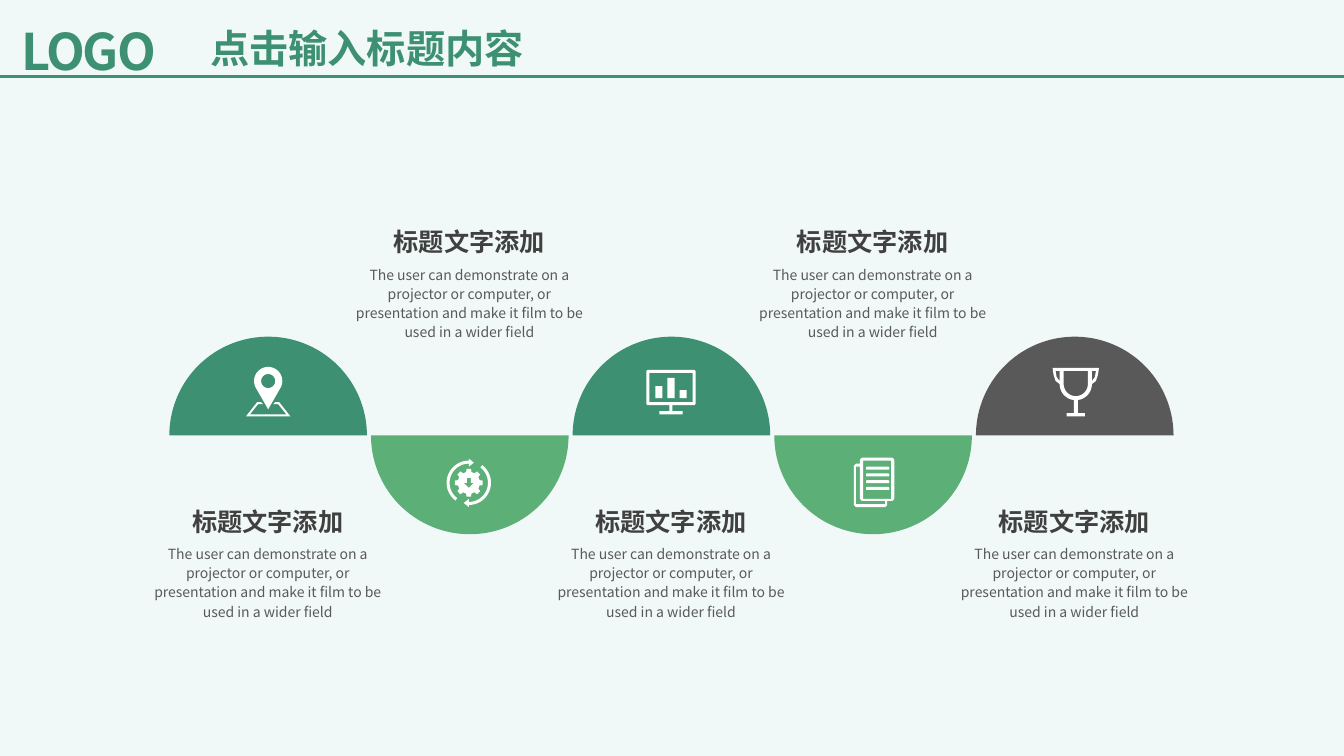
from math import cos, radians, sin

from lxml.etree import SubElement
from pptx import Presentation
from pptx.dml.color import RGBColor
from pptx.enum.shapes import MSO_CONNECTOR, MSO_SHAPE
from pptx.enum.text import MSO_AUTO_SIZE, PP_ALIGN
from pptx.oxml.ns import qn
from pptx.util import Inches, Pt

GREEN = RGBColor(0x3D, 0x90, 0x72)
LIGHT_GREEN = RGBColor(0x5C, 0xAF, 0x77)
GRAY = RGBColor(0x59, 0x59, 0x59)
DARK_GRAY = RGBColor(0x40, 0x40, 0x40)
MINT = RGBColor(0xB4, 0xE2, 0xD7)
WHITE = RGBColor(0xFF, 0xFF, 0xFF)

FONT = "Noto Sans CJK SC"
HEADING = "标题文字添加"
BODY = (
    "The user can demonstrate on a projector or computer, or presentation "
    "and make it film to be used in a wider field"
)
LOGO_FORMAT = {"size": Pt(36), "bold": True}
TITLE_FORMAT = {"size": Pt(28), "bold": True}
HEADING_FORMAT = {"size": Pt(18), "bold": True}
BODY_FORMAT = {"size": Pt(10), "bold": False}

WAVE_COLORS = [GREEN, LIGHT_GREEN, GREEN, LIGHT_GREEN, GRAY]
FIRST_CENTER, PITCH, BASELINE, RADIUS = 2.66, 2.0, 4.32, 0.98


def arc(center_x, center_y, radius, start, end, steps=32):
    angles = [radians(start + (end - start) * i / steps) for i in range(steps + 1)]
    return [(center_x + radius * cos(a), center_y + radius * sin(a)) for a in angles]


def box(left, top, right, bottom):
    return [(left, top), (right, top), (right, bottom), (left, bottom)]


def rounded_box(left, top, right, bottom, radius=0.03):
    corners = [
        (right - radius, top + radius, -90),
        (right - radius, bottom - radius, 0),
        (left + radius, bottom - radius, 90),
        (left + radius, top + radius, 180),
    ]
    return [
        point
        for x, y, start in corners
        for point in arc(x, y, radius, start, start + 90, 6)
    ]


def mirror(contour, axis):
    return [(2 * axis - x, y) for x, y in contour]


def paint(shape, color):
    shape.fill.solid()
    shape.fill.fore_color.rgb = color
    shape.line.fill.background()
    shape.shadow.inherit = False


def add_outline(slide, contours, color):
    scaled = [[(Inches(x), Inches(y)) for x, y in contour] for contour in contours]
    builder = slide.shapes.build_freeform(*scaled[0][0])
    builder.add_line_segments(scaled[0][1:], close=True)
    for contour in scaled[1:]:
        builder.move_to(*contour[0])
        builder.add_line_segments(contour[1:], close=True)
    paint(builder.convert_to_shape(), color)


def add_text(slide, text, position, font_format, color,
             alignment=PP_ALIGN.CENTER, line_spacing=None):
    text_box = slide.shapes.add_textbox(*[Inches(value) for value in position])
    frame = text_box.text_frame
    frame.word_wrap = True
    frame.auto_size = MSO_AUTO_SIZE.SHAPE_TO_FIT_TEXT
    paragraph = frame.paragraphs[0]
    paragraph.alignment = alignment
    paragraph.line_spacing = line_spacing
    run = paragraph.add_run()
    run.text = text
    for name, value in {"name": FONT, **font_format}.items():
        setattr(run.font, name, value)
    run.font.color.rgb = color
    properties = run._r.get_or_add_rPr()
    SubElement(properties, qn("a:ea")).set("typeface", FONT)
    return text_box


def add_header(slide, width, height):
    background = slide.shapes.add_shape(MSO_SHAPE.RECTANGLE, 0, 0, width, height)
    paint(background, MINT)
    tint = background.fill._xPr.find(qn("a:solidFill"))[0]
    SubElement(tint, qn("a:alpha")).set("val", "20000")

    logo = add_text(slide, "LOGO", (0.08, 0.13, 1.96, 0.74), LOGO_FORMAT, GREEN,
                    PP_ALIGN.LEFT)
    margins = {"left": 0.13, "top": 0.07, "right": 0.13, "bottom": 0.07}
    for side, margin in margins.items():
        setattr(logo.text_frame, f"margin_{side}", Inches(margin))
    logo.text_frame.paragraphs[0].runs[0]._r.get_or_add_rPr().set("spc", "-150")

    rule = slide.shapes.add_connector(
        MSO_CONNECTOR.STRAIGHT, 0, Inches(0.76), width, Inches(0.76))
    rule.line.color.rgb = GREEN
    rule.line.width = Pt(2)
    SubElement(rule._element.spPr, qn("a:effectLst"))
    add_text(slide, "点击输入标题内容", (1.84, 0.19, 3.6, 0.57), TITLE_FORMAT, GREEN)


def add_wave_step(slide, index, color):
    center = FIRST_CENTER + PITCH * index
    points_up = index % 2 == 0
    start = 180 if points_up else 0
    add_outline(slide, [arc(center, BASELINE, RADIUS, start, start + 180, 72)], color)
    top = 4.97 if points_up else 2.2
    add_text(slide, HEADING, (center - 1.17, top, 2.33, 0.4),
             HEADING_FORMAT, DARK_GRAY)
    add_text(slide, BODY, (center - 1.29, top + 0.37, 2.57, 0.87),
             BODY_FORMAT, GRAY, line_spacing=1.14)


def map_pin():
    half_map = [(2.66, 4.13), (2.44, 4.13), (2.55, 3.99), (2.59, 3.99),
                (2.61, 4.01), (2.56, 4.01), (2.48, 4.11), (2.66, 4.11)]
    marker = arc(2.66, 3.78, 0.14, 155, 385) + [(2.66, 4.06)]
    return [half_map, mirror(half_map, 2.66), marker, arc(2.66, 3.78, 0.07, 0, 360)]


def chart_screen():
    bars = [box(left, top, left + 0.07, 3.95)
            for left, top in [(6.5, 3.83), (6.62, 3.75), (6.74, 3.87)]]
    return [rounded_box(6.41, 3.67, 6.9, 4.02, 0.02), box(6.44, 3.7, 6.87, 3.99),
            box(6.64, 4.02, 6.67, 4.08), box(6.54, 4.08, 6.77, 4.11), *bars]


def trophy():
    axis = 10.67
    handle = [(10.44, 3.65), (10.45, 3.72), (10.47, 3.78), (10.51, 3.81)]
    cup = handle + arc(axis, 3.81, 0.16, 180, 0) + mirror(handle, axis)[::-1]
    bowl = [(10.55, 3.68), *arc(axis, 3.81, 0.12, 180, 0), (10.79, 3.68)]
    gap = [(10.47, 3.68), (10.51, 3.68), (10.51, 3.78), (10.48, 3.74)]
    return [cup, bowl, gap, mirror(gap, axis),
            box(10.65, 3.97, 10.69, 4.1), box(10.58, 4.1, 10.76, 4.13)]


def gear_cycle():
    x, y = 4.65, 4.79
    tooth = [(-9, 0.14), (9, 0.14), (14, 0.11), (31, 0.11)]
    gear = [point for k in range(8) for angle, radius in tooth
            for point in arc(x, y, radius, 45 * k + angle, 45 * k + angle, 1)]
    down_arrow = [(4.63, 4.74), (4.67, 4.74), (4.67, 4.79), (4.7, 4.79),
                  (4.65, 4.84), (4.6, 4.79), (4.63, 4.79)]
    sweep = (arc(x, y, 0.22, -53, 90) + [(4.65, 5.03), (4.6, 4.99), (4.65, 4.95)]
             + arc(x, y, 0.19, 90, -53))
    opposite = [(2 * x - left, 2 * y - top) for left, top in sweep]
    return [gear, down_arrow, sweep, opposite]


def documents():
    back_sheet = [(8.53, 4.6), (8.49, 4.6), (8.47, 4.62), (8.47, 5.01),
                  (8.49, 5.03), (8.78, 5.03), (8.8, 5.01), (8.8, 4.97),
                  (8.78, 4.97), (8.78, 5), (8.49, 5), (8.49, 4.63), (8.53, 4.63)]
    tops = [4.63 + 0.067 * row for row in range(4)]
    lines = [rounded_box(8.59, top, 8.82, top + 0.03, 0.01) for top in tops]
    return [rounded_box(8.53, 4.54, 8.87, 4.97), box(8.56, 4.57, 8.84, 4.95),
            back_sheet, *lines]


def main():
    presentation = Presentation()
    presentation.slide_width = Inches(13.33)
    presentation.slide_height = Inches(7.5)
    slide = presentation.slides.add_slide(presentation.slide_layouts[6])
    add_header(slide, presentation.slide_width, presentation.slide_height)
    for index, color in enumerate(WAVE_COLORS):
        add_wave_step(slide, index, color)
    for icon in (map_pin, gear_cycle, chart_screen, documents, trophy):
        add_outline(slide, icon(), WHITE)
    presentation.save("out.pptx")


if __name__ == "__main__":
    main()
